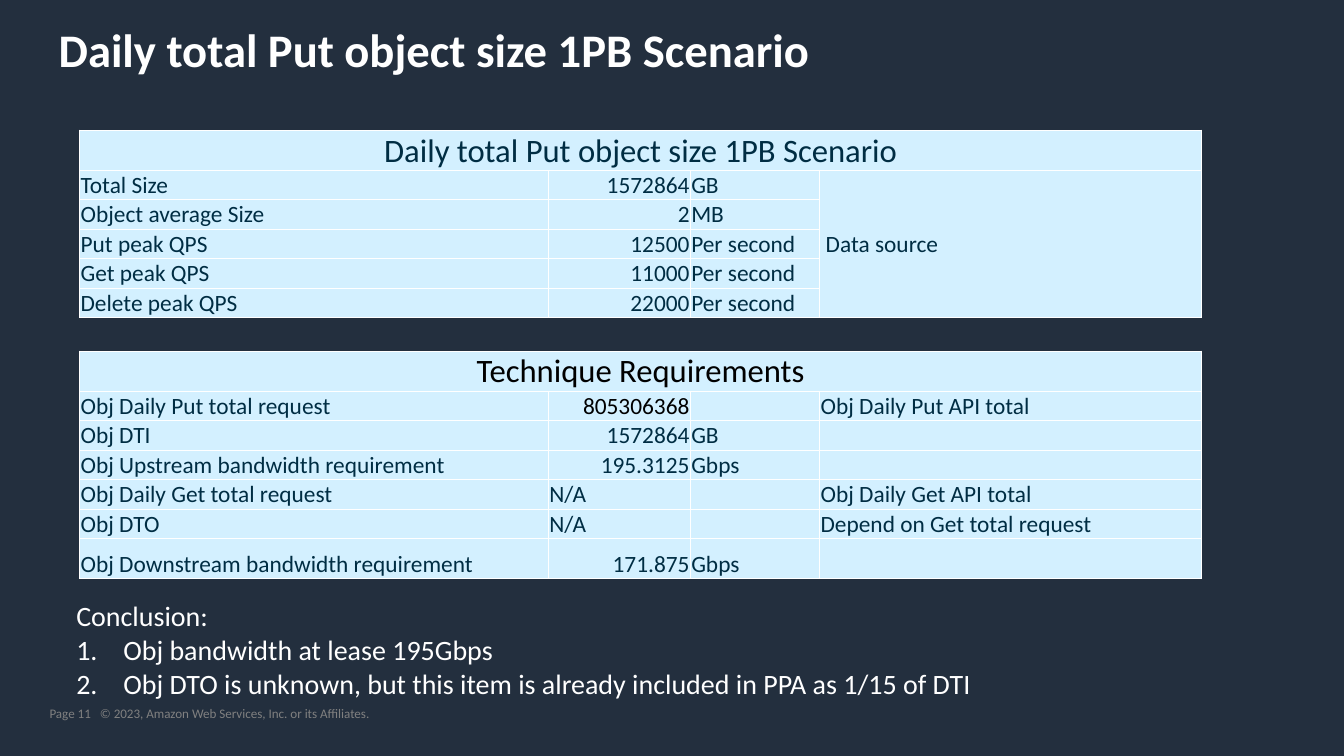
from lxml import etree
from pptx import Presentation
from pptx import util as u
from pptx.dml.color import RGBColor
from pptx.enum import text
from pptx.oxml import ns

THEME = {
    "font": "Calibri",
    "background": "232F3E", "white": "FFFFFF", "grey": "808080",
    "navy": "002D43", "black": "000000", "cell": "D3F0FF",
    "title": 40, "heading": 28, "conclusion": 24, "body": 20, "footer": 11.2,
}
ALIGN = text.PP_ALIGN
ANCHOR = text.MSO_ANCHOR


def write(paragraph, content, size, color, bold=False, align=ALIGN.LEFT):
    paragraph.alignment = align
    run = paragraph.add_run()
    run.text = content
    run.font.name = THEME["font"]
    run.font.size = u.Pt(THEME[size])
    run.font.bold = bold
    run.font.color.rgb = RGBColor.from_string(THEME[color])


def style_cell(cell):
    cell.margin_left = cell.margin_right = cell.margin_top = u.Inches(0.01)
    cell.margin_bottom = 0
    cell.vertical_anchor = ANCHOR.BOTTOM
    properties = cell._tc.get_or_add_tcPr()
    for side in ("lnL", "lnR", "lnT", "lnB"):
        line = etree.SubElement(properties, ns.qn(f"a:{side}"), w=str(u.Pt(1)))
        solid = etree.SubElement(line, ns.qn("a:solidFill"))
        etree.SubElement(solid, ns.qn("a:srgbClr"), val=THEME["white"])
    cell.fill.solid()
    cell.fill.fore_color.rgb = RGBColor.from_string(THEME["cell"])


presentation = Presentation()
presentation.slide_width = u.Inches(16)
presentation.slide_height = u.Inches(9)
slide = presentation.slides.add_slide(presentation.slide_layouts[6])
slide.background.fill.solid()
slide.background.fill.fore_color.rgb = RGBColor.from_string(THEME["background"])

footer = slide.shapes.add_textbox(u.Inches(0.59), u.Inches(8.4), u.Inches(7.78), u.Inches(0.19)).text_frame
footer.word_wrap = True
footer.margin_left = footer.margin_right = footer.margin_top = footer.margin_bottom = 0
tabs = etree.SubElement(footer.paragraphs[0]._p.get_or_add_pPr(), ns.qn("a:tabLst"))
etree.SubElement(tabs, ns.qn("a:tab"), pos=str(u.Inches(0.6)), algn="l")
write(footer.paragraphs[0], "Page 11\t© 2023, Amazon Web Services, Inc. or its Affiliates.", "footer", "grey")

title = slide.shapes.add_textbox(u.Inches(0.6), u.Inches(0.2), u.Inches(14.78), u.Inches(1.09)).text_frame
title.word_wrap = True
write(title.paragraphs[0], "Daily total Put object size 1PB Scenario", "title", "white", bold=True)

COLUMN_WIDTHS = (5.58, 1.69, 1.54, 4.54)
HEADING_HEIGHT, ROW_HEIGHT, LAST_HEIGHT = 0.48, 0.35, 0.48
TABLES = [
    {
        "top": 1.55, "heading": "Daily total Put object size 1PB Scenario",
        "heading_color": "navy", "last_height": ROW_HEIGHT,
        "rows": [
            ("Total Size", "1572864", "GB", "Data source"),
            ("Object average Size", "2", "MB", ""),
            ("Put peak QPS", "12500", "Per second", ""),
            ("Get peak QPS", "11000", "Per second", ""),
            ("Delete peak QPS", "22000", "Per second", ""),
        ],
    },
    {
        "top": 4.18, "heading": "Technique Requirements",
        "heading_color": "black", "last_height": LAST_HEIGHT,
        "rows": [
            ("Obj Daily Put total request", "805306368", "", "Obj Daily Put API total"),
            ("Obj DTI", "1572864", "GB", ""),
            ("Obj Upstream bandwidth requirement", "195.3125", "Gbps", ""),
            ("Obj Daily Get total request", "N/A", "", "Obj Daily Get API total"),
            ("Obj DTO", "N/A", "", "Depend on Get total request"),
            ("Obj Downstream bandwidth requirement", "171.875", "Gbps", ""),
        ],
    },
]

tables = []
for data in TABLES:
    rows = data["rows"]
    heights = [HEADING_HEIGHT] + [ROW_HEIGHT] * (len(rows) - 1) + [data["last_height"]]
    table = slide.shapes.add_table(
        len(heights), len(COLUMN_WIDTHS), u.Inches(0.95), u.Inches(data["top"]),
        u.Inches(sum(COLUMN_WIDTHS)), u.Inches(sum(heights)),
    ).table
    table.first_row = table.horz_banding = False
    for column, width in zip(table.columns, COLUMN_WIDTHS):
        column.width = u.Inches(width)
    for row, height in zip(table.rows, heights):
        row.height = u.Inches(height)
    for cell in table.iter_cells():
        style_cell(cell)
    table.cell(0, 0).merge(table.cell(0, len(COLUMN_WIDTHS) - 1))
    write(table.cell(0, 0).text_frame.paragraphs[0], data["heading"], "heading",
          data["heading_color"], align=ALIGN.CENTER)
    for row_index, values in enumerate(rows, start=1):
        for column_index, value in enumerate(values):
            if value:
                write(table.cell(row_index, column_index).text_frame.paragraphs[0], value, "body",
                      "black" if value == "805306368" else "navy",
                      align=ALIGN.RIGHT if value[0].isdigit() else ALIGN.LEFT)
    tables.append(table)

data_source = tables[0].cell(1, 3)
data_source.merge(tables[0].cell(5, 3))
data_source.vertical_anchor = ANCHOR.MIDDLE
data_source.margin_left = u.Inches(0.07)

conclusion = slide.shapes.add_textbox(u.Inches(0.81), u.Inches(7.08), u.Inches(12.23), u.Inches(1.32)).text_frame
conclusion.word_wrap = True
write(conclusion.paragraphs[0], "Conclusion:", "conclusion", "white")
for point in (
    "Obj bandwidth at lease 195Gbps",
    "Obj DTO is unknown, but this item is already included in PPA as 1/15 of DTI",
):
    paragraph = conclusion.add_paragraph()
    properties = paragraph._p.get_or_add_pPr()
    properties.set("marL", str(u.Inches(0.56)))
    properties.set("indent", str(u.Inches(-0.56)))
    etree.SubElement(properties, ns.qn("a:buFont"), typeface="+mj-lt")
    etree.SubElement(properties, ns.qn("a:buAutoNum"), type="arabicPeriod")
    write(paragraph, point, "conclusion", "white")

presentation.save("out.pptx")
